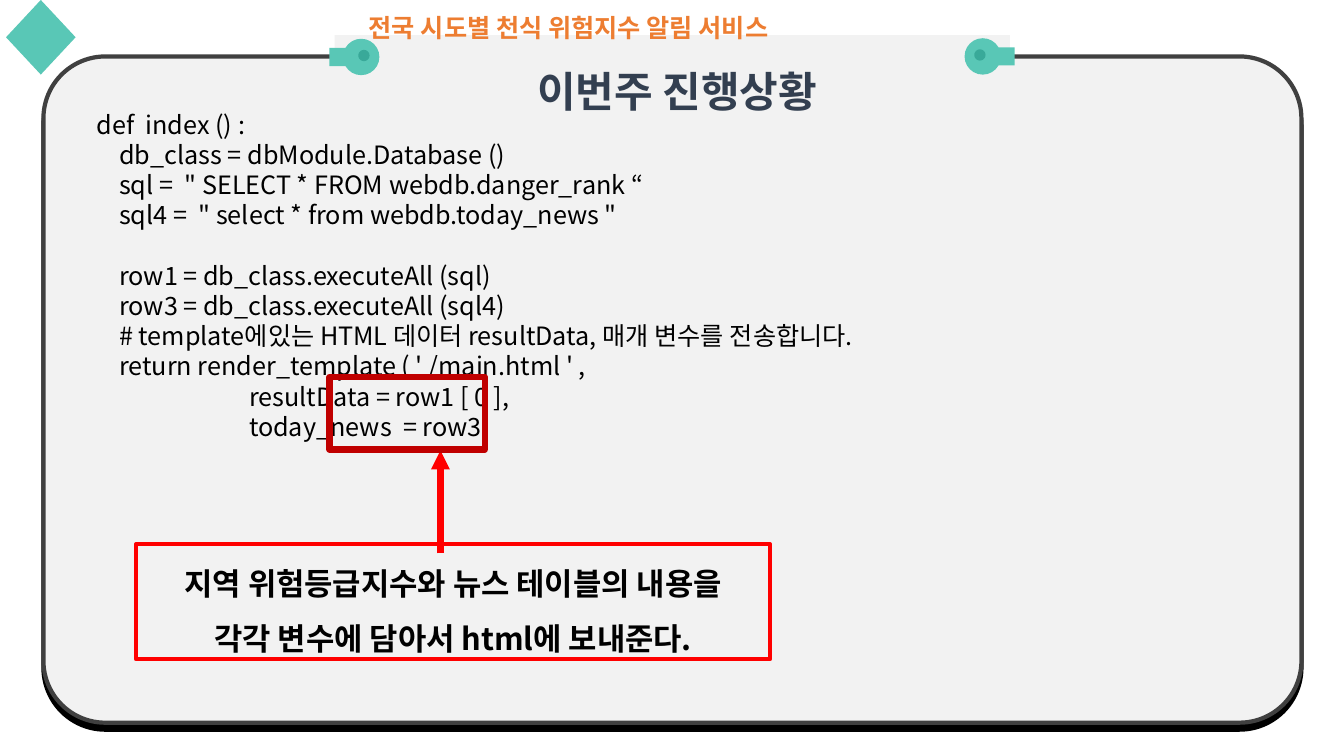
from dataclasses import dataclass
from math import cos, radians, sin

from lxml.etree import SubElement
from pptx import Presentation
from pptx.dml.color import RGBColor
from pptx.enum.shapes import MSO_CONNECTOR as Conn, MSO_SHAPE as Geom
from pptx.enum.text import MSO_AUTO_SIZE as Auto, PP_ALIGN as Align
from pptx.oxml.ns import qn
from pptx.util import Pt

FONT = "Noto Sans CJK KR"
PANEL, TEAL, DARK_TEAL, RED = "F2F2F2", "59C7B6", "39A999", "FF0000"
CODE = """def  index () :
    db_class = dbModule.Database ()
    sql =  " SELECT * FROM webdb.danger_rank “
    sql4 =  " select * from webdb.today_news "

    row1 = db_class.executeAll (sql)
    row3 = db_class.executeAll (sql4)
    # template에있는 HTML 데이터 resultData, 매개 변수를 전송합니다.
    return render_template ( ' /main.html ' ,
                           resultData = row1 [ 0 ],
                           today_news  = row3)"""


@dataclass
class Box:
    left: float
    top: float
    width: float
    height: float

    def emu(self) -> tuple:
        return Pt(self.left), Pt(self.top), Pt(self.width), Pt(self.height)


@dataclass
class Clip:
    x: float
    y: float
    side: int  # 1: tab points right, -1: tab points left


def color(hex_code: str) -> RGBColor:
    return RGBColor.from_string(hex_code)


def paint(sp, fill: str = "", line: str = "", width: float = 0) -> None:
    sp.shadow.inherit = False
    if fill:
        sp.fill.solid()
        sp.fill.fore_color.rgb = color(fill)
    else:
        sp.fill.background()
    if line:
        sp.line.color.rgb = color(line)
        sp.line.width = Pt(width)
    else:
        sp.line.fill.background()


def add_box(shapes, geom, box: Box, fill: str = "", line: str = "", width: float = 0):
    sp = shapes.add_shape(geom, *box.emu())
    paint(sp, fill, line, width)
    return sp


def write(sp, lines: list[str], size: float, rgb: str, bold: bool = False,
          align=Align.LEFT, spacing: float = 1, wrap: bool = True) -> None:
    """Write one paragraph per line; an empty line becomes space before the next."""
    tf = sp.text_frame
    tf.word_wrap = wrap
    tf.auto_size = Auto.SHAPE_TO_FIT_TEXT
    gap, p = 0, None
    for line in lines:
        if not line:
            gap = size * 1.2
            continue
        p = tf.add_paragraph() if p is not None else tf.paragraphs[0]
        p.text = line
        p.alignment = align
        p.line_spacing = spacing
        if gap:
            p.space_before, gap = Pt(gap), 0
        for r in p.runs:
            r.font.size, r.font.bold, r.font.name = Pt(size), bold, FONT
            r.font.color.rgb = color(rgb)
            SubElement(r.font._element, qn("a:ea"), typeface=FONT)


def arc(x: float, y: float, radius: float, start: int, stop: int) -> list[tuple]:
    return [(x + radius * cos(radians(a)), y + radius * sin(radians(a)))
            for a in range(start, stop + 1, 15)]


def add_outline(shapes, points: list[tuple], fill: str) -> None:
    (x, y), *rest = [(Pt(px), Pt(py)) for px, py in points]
    builder = shapes.build_freeform(x, y)
    builder.add_line_segments(rest, close=True)
    paint(builder.convert_to_shape(), fill)


def add_clip(shapes, clip: Clip) -> None:
    group = shapes.add_group_shape().shapes
    turn = 0 if clip.side > 0 else 180
    tab = clip.x + 22.8 * clip.side
    ring = arc(clip.x, clip.y, 13, turn + 30, turn + 330)
    add_outline(group, ring + [(tab, clip.y - 6.5 * clip.side),
                               (tab, clip.y + 6.5 * clip.side)], TEAL)
    add_outline(group, arc(clip.x - 2 * clip.side, clip.y - 1, 4, 0, 345), DARK_TEAL)


def add_drop_shadow(sp, distance: float) -> None:
    effects = sp._element.spPr.find(qn("a:effectLst"))
    shadow = SubElement(effects, qn("a:outerShdw"), dist=str(Pt(distance)),
                        dir="5400000", algn="t", rotWithShape="0")
    SubElement(shadow, qn("a:srgbClr"), val="000000")


def add_arrow(shapes, x: float, start: float, end: float) -> None:
    arrow = shapes.add_connector(Conn.STRAIGHT, Pt(x), Pt(start), Pt(x), Pt(end))
    arrow.line.color.rgb = color(RED)
    arrow.line.width = Pt(4.5)
    SubElement(arrow.line._get_or_add_ln(), qn("a:tailEnd"), type="triangle")
    SubElement(arrow._element.spPr, qn("a:effectLst"))


def main() -> None:
    prs = Presentation()
    prs.slide_width, prs.slide_height = Pt(960), Pt(540)
    shapes = prs.slides.add_slide(prs.slide_layouts[6]).shapes

    # Panel with its heading
    panel = add_box(shapes, Geom.ROUNDED_RECTANGLE, Box(31, 40.3, 898.6, 475.9),
                    PANEL, "404040", 3)
    panel.adjustments[0] = 0.093
    add_drop_shadow(panel, 5)
    heading = add_box(shapes, Geom.RECTANGLE, Box(239, 25.2, 482.4, 61.9), PANEL)
    write(heading, ["이번주 진행상황"], 30, "333F50", True, Align.CENTER, 1.5)
    heading.text_frame.margin_left = Pt(14)

    # Clips and corner ornament
    for clip in (Clip(702, 40.3, 1), Clip(258, 40.7, -1)):
        add_clip(shapes, clip)
    add_box(shapes, Geom.DIAMOND, Box(4.3, 0, 49.7, 53.3), TEAL)

    # Project name and code
    project = shapes.add_textbox(*Box(256.3, 5, 337.7, 28.8).emu())
    write(project, ["전국 시도별 천식 위험지수 알림 서비스"], 18, "ED7D31", True, wrap=False)
    code = shapes.add_textbox(*Box(61.9, 74.2, 740.2, 247).emu())
    write(code, CODE.split("\n"), 18, "000000")

    # Explanation pointing at the highlighted variables
    note = add_box(shapes, Geom.RECTANGLE, Box(97.2, 388.8, 452.9, 82.1), "", RED, 3)
    write(note, ["지역 위험등급지수와 뉴스 테이블의 내용을",
                 "각각 변수에 담아서 html에 보내준다."],
          22, "000000", True, Align.CENTER, 1.5)
    add_arrow(shapes, 314.6, 395.3, 321.8)
    add_box(shapes, Geom.RECTANGLE, Box(235.4, 269.3, 110.9, 51.8), "", "C00000", 4.5)

    prs.save("out.pptx")


if __name__ == "__main__":
    main()
